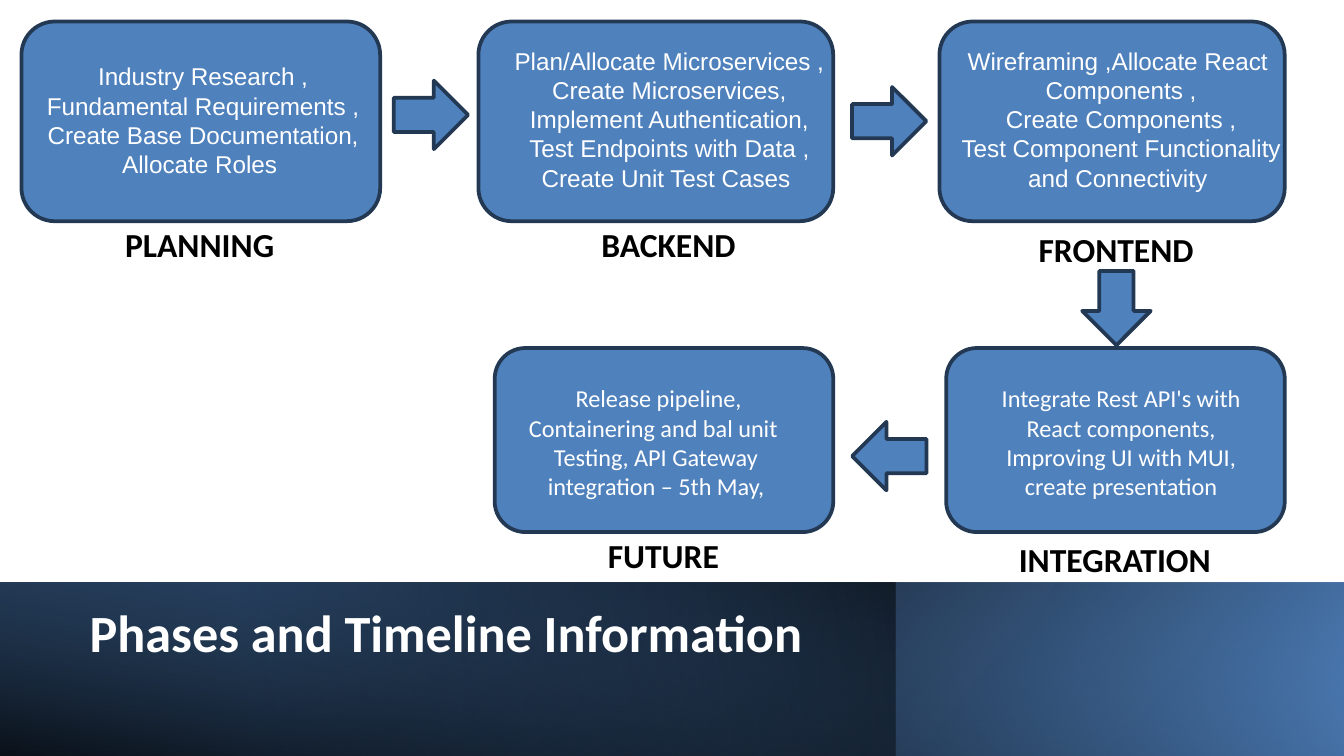
from dataclasses import dataclass

from lxml import etree
from pptx import Presentation
from pptx.dml import color
from pptx.enum import shapes, text
from pptx.oxml import ns
from pptx.util import Pt


@dataclass(frozen=True)
class Theme:
    accent: str = "4F81BD"
    outline: str = "233953"
    navy: str = "376092"
    dark: str = "000000"
    light: str = "FFFFFF"
    heading_font: str = "Calibri"
    body_font: str = "Arial"
    title_size: int = 28
    label_size: int = 18
    body_size: int = 13


class SlideBuilder:
    def __init__(self, slide, theme):
        self.slide = slide
        self.theme = theme

    def shape(self, kind, left, top, width, height):
        shape = self.slide.shapes.add_shape(kind, Pt(left), Pt(top), Pt(width), Pt(height))
        shape.shadow.inherit = False
        return shape

    def block(self, kind, left, top, width, height, rotation=0):
        shape = self.shape(kind, left, top, width, height)
        shape.fill.solid()
        shape.fill.fore_color.rgb = color.RGBColor.from_string(self.theme.accent)
        shape.line.color.rgb = color.RGBColor.from_string(self.theme.outline)
        shape.line.width = Pt(2)
        shape.rotation = rotation

    def gradient(self, left, top, width, height, angle, stops):
        """Stops are (position, colour, opacity) in percent; the angle runs clockwise."""
        shape = self.shape(shapes.MSO_SHAPE.RECTANGLE, left, top, width, height)
        shape.line.fill.background()
        fill = etree.Element(ns.qn("a:gradFill"), rotWithShape="1")
        stop_list = etree.SubElement(fill, ns.qn("a:gsLst"))
        for position, rgb, opacity in stops:
            stop = etree.SubElement(stop_list, ns.qn("a:gs"), pos=str(position * 1000))
            tint = etree.SubElement(stop, ns.qn("a:srgbClr"), val=rgb)
            if opacity < 100:
                etree.SubElement(tint, ns.qn("a:alpha"), val=str(opacity * 1000))
        etree.SubElement(fill, ns.qn("a:lin"), ang=str(angle * 60000), scaled="0")
        shape._element.spPr.find(ns.qn("a:prstGeom")).addnext(fill)

    def text(self, lines, left, top, width, height, font, size, rgb,
             bold=False, align=text.PP_ALIGN.CENTER, anchor=text.MSO_ANCHOR.TOP):
        box = self.slide.shapes.add_textbox(Pt(left), Pt(top), Pt(width), Pt(height))
        frame = box.text_frame
        frame.word_wrap = True
        frame.vertical_anchor = anchor
        frame.text = "\n".join(lines)
        for paragraph in frame.paragraphs:
            paragraph.alignment = align
            paragraph.font.name = font
            paragraph.font.size = Pt(size)
            paragraph.font.bold = bold
            paragraph.font.color.rgb = color.RGBColor.from_string(rgb)
        return frame


theme = Theme()
presentation = Presentation()
presentation.slide_width, presentation.slide_height = Pt(720), Pt(405)
builder = SlideBuilder(presentation.slides.add_slide(presentation.slide_layouts[6]), theme)

# Title band
BAND_TOP, BAND_HEIGHT = 312, 93
for width, angle, stops in (
    (720, 40, [(34, theme.dark, 96), (100, theme.accent, 100)]),
    (479.5, 350, [(28, theme.navy, 59), (100, theme.dark, 70)]),
    (720, 280, [(0, theme.dark, 72), (100, theme.accent, 0)]),
):
    builder.gradient(0, BAND_TOP, width, BAND_HEIGHT, angle, stops)
title = builder.text(["Phases and Timeline Information"], 41, 318, 411, 45,
                     theme.heading_font, theme.title_size, theme.light, bold=True,
                     align=text.PP_ALIGN.LEFT, anchor=text.MSO_ANCHOR.MIDDLE)
title.paragraphs[0].line_spacing = 0.9

# Phases: label, label position, card (left, width), text (left, top, width), lines
ROWS = [
    (11.5, 107, theme.body_font, [
        ("PLANNING", (38.2, 116.6), (11.5, 192.2), (-10.8, 29.5, 239),
         ["Industry Research ,", "Fundamental Requirements ,",
          "Create Base Documentation,", "Allocate Roles\u00a0"]),
        ("BACKEND", (289.4, 116.6), (256.3, 190.1), (260.6, 21.2, 195.8),
         ["Plan/Allocate Microservices ,", "Create Microservices,",
          "Implement Authentication,", "Test Endpoints with Data ,",
          "Create Unit Test Cases\u00a0"]),
        ("FRONTEND", (529.2, 119), (503.3, 185), (486, 21.2, 229),
         ["Wireframing ,Allocate React\u00a0 Components\u00a0,", "Create Components ,",
          "Test Component Functionality and\u00a0Connectivity\u00a0"]),
    ]),
    (186.5, 98.6, theme.heading_font, [
        ("INTEGRATION", (528.5, 285), (506.9, 181.4), (517, 202, 167),
         ["Integrate Rest API's with React components,",
          "Improving UI with MUI, create presentation"]),
        ("FUTURE", (286.6, 283), (265, 181.4), (270, 202, 162.7),
         ["\u00a0Release pipeline,", "Containering and bal unit\u00a0",
          "Testing, API Gateway integration\u00a0\u2013 5th\u00a0May,"]),
    ]),
]
for top, height, font, phases in ROWS:
    for label, label_at, (left, width), (text_left, text_top, text_width), lines in phases:
        builder.block(shapes.MSO_SHAPE.ROUNDED_RECTANGLE, left, top, width, height)
        builder.text(lines, text_left, text_top, text_width, 86,
                     font, theme.body_size, theme.light)
        builder.text([label], *label_at, 137.5, 29,
                     theme.heading_font, theme.label_size, theme.dark, bold=True)

# Arrows between phases
for left, top, rotation in ((211, 43.2, 0), (456.5, 46.6, 0), (578.2, 146.7, 90), (456.5, 226, 180)):
    builder.block(shapes.MSO_SHAPE.RIGHT_ARROW, left, top, 39.8, 36.7, rotation)

presentation.save("out.pptx")
